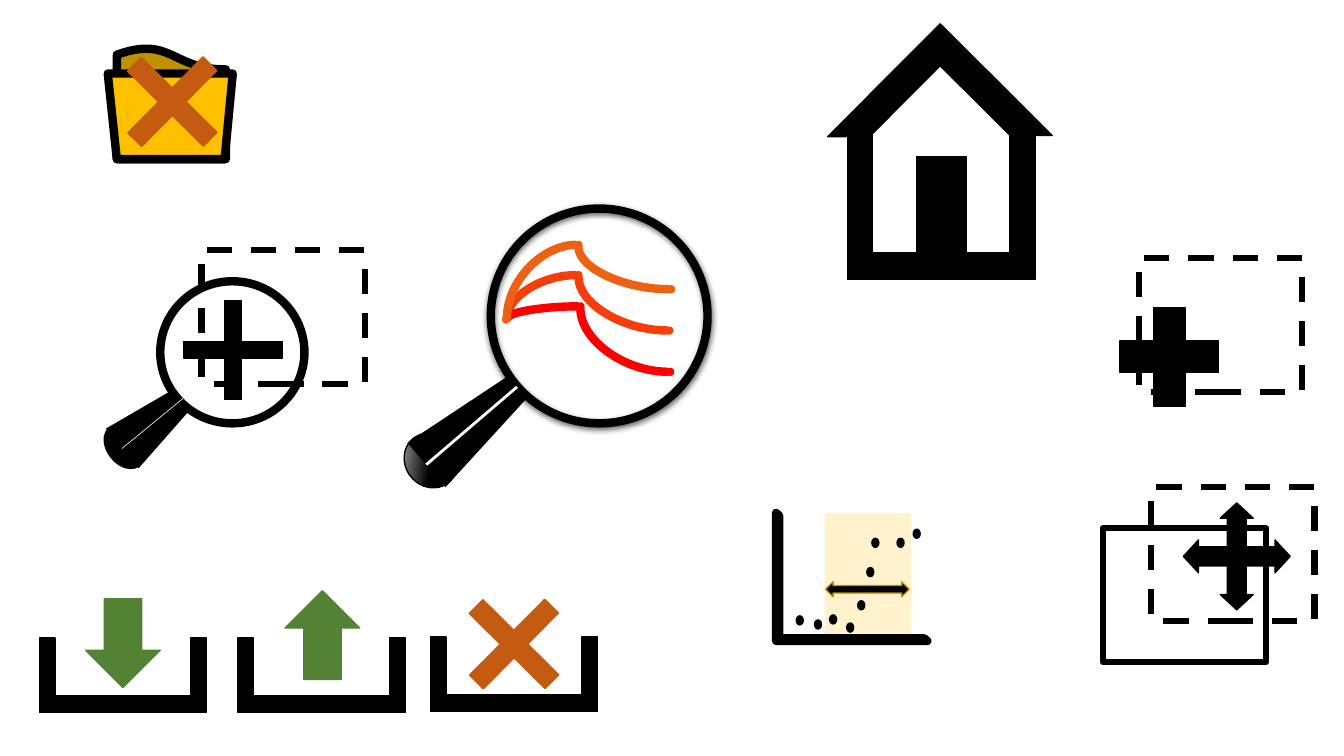
from lxml import etree
from pptx import Presentation
from pptx.dml.color import RGBColor
from pptx.enum.dml import MSO_LINE
from pptx.enum.shapes import MSO_CONNECTOR, MSO_SHAPE
from pptx.oxml.ns import qn
from pptx.util import Pt

DASH = MSO_LINE.DASH
STRAIGHT = MSO_CONNECTOR.STRAIGHT
CURVE = MSO_CONNECTOR.CURVE
ELLIPSE = MSO_SHAPE.OVAL
RECTANGLE = MSO_SHAPE.RECTANGLE
CORNER = MSO_SHAPE.CORNER
HALF_FRAME = MSO_SHAPE.HALF_FRAME
TRAPEZOID = MSO_SHAPE.TRAPEZOID
PLUS = MSO_SHAPE.CROSS
QUAD_ARROW = MSO_SHAPE.QUAD_ARROW
DOWN_ARROW = MSO_SHAPE.DOWN_ARROW
WIDE_ARROW = MSO_SHAPE.LEFT_RIGHT_ARROW
DOCUMENT = MSO_SHAPE.FLOWCHART_DOCUMENT

BLACK, GREEN, RUST, GOLD = "000000", "548235", "C55A11", "BF9000"
CONTOURS = [
    ("F63D0A", (122.4, 47.5), (187.2, 87.1)),
    ("FF0000", (123.8, 69.8), (187.9, 116.6)),
    ("EC6114", (122.4, 25.9), (188.6, 57.6)),
]
DATA_POINTS = [(38.2, 72.7), (50.4, 78.5), (58.3, 62.6), (64.8, 38.9), (68.4, 18),
               (86.4, 18), (27.4, 76.3), (14.4, 73.4), (97.9, 11.5)]


def color(value):
    """Return the colour for a hex string."""
    return RGBColor.from_string(value)


def paint(shape, fill=None, line=None, weight=1, dash=None):
    """Set the fill and outline of a shape and drop its shadow."""
    shape.shadow.inherit = False
    if fill:
        shape.fill.solid()
        shape.fill.fore_color.rgb = color(fill)
    else:
        shape.fill.background()
    if line:
        shape.line.color.rgb = color(line)
        shape.line.width = Pt(weight)
        if dash:
            shape.line.dash_style = dash
    else:
        shape.line.fill.background()


def draw(icon, kind, x, y, width, height, adjust=(), rotation=0, flip=None, **style):
    """Add a preset shape to an icon."""
    shape = icon.shapes.add_shape(kind, Pt(x), Pt(y), Pt(width), Pt(height))
    for index, value in enumerate(adjust):
        shape.adjustments[index] = value
    shape.rotation = rotation
    if flip:
        shape.element.spPr.get_or_add_xfrm().set(flip, "1")
    paint(shape, **style)
    return shape


def stroke(icon, start, end, line, weight, kind=STRAIGHT):
    """Add a straight line or a quarter curve that leaves its start horizontally."""
    connector = icon.shapes.add_connector(kind, *map(Pt, start + end))
    connector.line.color.rgb = color(line)
    connector.line.width = Pt(weight)
    properties = connector.element.spPr
    if kind == CURVE:
        properties.find(qn("a:prstGeom")).set("prst", "curvedConnector2")
    etree.SubElement(properties, qn("a:effectLst"))


def cast_shadow(shape):
    """Give a shape a soft shadow below it."""
    effects = shape.element.spPr.find(qn("a:effectLst"))
    shadow = etree.SubElement(effects, qn("a:outerShdw"), blurRad=str(Pt(4.5)),
                              dist=str(Pt(1.5)), dir="5400000", algn="t", rotWithShape="0")
    tint = etree.SubElement(shadow, qn("a:srgbClr"), val=BLACK)
    etree.SubElement(tint, qn("a:alpha"), val="63000")


def open_box(icon, x, y, span, width, height):
    """Draw a black box without a lid from two mirrored corners."""
    for left, flip in ((x, None), (x + span - width, "flipH")):
        draw(icon, CORNER, left, y, width, height, (0.223, 0.212), flip=flip,
             fill=BLACK, line=BLACK)


def delete_cross(icon, x, y):
    """Draw the diagonal cross that stands for deleting."""
    draw(icon, QUAD_ARROW, x, y, 76.3, 76.3, (0.399, 0.091, 0), 314.7, fill=RUST, line=RUST)


def selection(icon, x, y, dash=DASH):
    """Draw the outline of a selected area."""
    draw(icon, RECTANGLE, x, y, 116.6, 95.8, line=BLACK, weight=4.5, dash=dash)


def tray(icon, x, y):
    """Draw the tray under an import, export or delete sign."""
    open_box(icon, x, y, 119.6, 75, 53.3)


def import_icon(icon, x, y):
    """Draw a tray with an arrow pointing down into it."""
    tray(icon, x, y)
    draw(icon, DOWN_ARROW, x + 33.1, y - 28.1, 53.3, 63.4, fill=GREEN, line=GREEN)


def export_icon(icon, x, y):
    """Draw a tray with an arrow pointing up out of it."""
    tray(icon, x, y)
    draw(icon, DOWN_ARROW, x + 33.8, y - 33.8, 53.3, 63.4, flip="flipV",
         fill=GREEN, line=GREEN)


def delete_icon(icon, x, y):
    """Draw a tray with a cross."""
    tray(icon, x, y)
    delete_cross(icon, x + 21.6, y - 33.1)


def folder_icon(icon, x, y):
    """Draw a folder with a cross."""
    draw(icon, DOCUMENT, x + 6.5, y, 77.8, 79.9, flip="flipV", fill=GOLD, line=BLACK, weight=6)
    outline = [(6.5, 79.9), (0, 18.7), (89.3, 18.7), (83.5, 79.9)]
    corners = [(Pt(x + dx), Pt(y + dy)) for dx, dy in outline]
    builder = icon.shapes.build_freeform(*corners[0])
    builder.add_line_segments(corners[1:], close=True)
    paint(builder.convert_to_shape(), fill="FFC000", line=BLACK, weight=6)
    delete_cross(icon, x + 7.9, y + 0.7)


def contour_icon(icon, x, y):
    """Draw a magnifier over three contour curves."""
    root = (x + 72.7, y + 78.5)
    for tint, (crest_x, crest_y), (tail_x, tail_y) in CONTOURS:
        crest = (x + crest_x, y + crest_y)
        tail = (x + tail_x, y + tail_y)
        for dot_x, dot_y in (crest, tail):
            draw(icon, ELLIPSE, dot_x, dot_y - 1.4, 2.9, 2.9, fill="5B9BD5", line=tint, weight=3)
        stroke(icon, crest, root, tint, 6, CURVE)
        stroke(icon, tail, (crest[0] + 1.4, crest[1] + 1.4), tint, 6, CURVE)
    draw(icon, ELLIPSE, x + 70.6, y + 77.8, 2.9, 2.9, fill="5B9BD5", line=tint, weight=3)
    cast_shadow(draw(icon, ELLIPSE, x + 61.2, y, 154.8, 153.4, line=BLACK, weight=6))
    grip = draw(icon, ELLIPSE, x, y + 159.8, 36.7, 40.3, rotation=321.8, line=BLACK)
    grip.fill.gradient()
    grip.fill.gradient_angle = 315
    for stop, (position, tint) in zip(grip.fill.gradient_stops, ((0, "BFBFBF"), (0.5, BLACK))):
        stop.position = position
        stop.color.rgb = color(tint)
    draw(icon, TRAPEZOID, x + 26.6, y + 113, 41.8, 85, rotation=49.5, fill=BLACK)
    stroke(icon, (x + 15.1, y + 182.9), (x + 79.9, y + 127.4), "FFFFFF", 2)


def zoom_icon(icon, x, y):
    """Draw a magnifier with a plus over a selection."""
    draw(icon, ELLIPSE, x, y + 123.1, 24.5, 35.3, rotation=321.8, fill=BLACK)
    draw(icon, ELLIPSE, x + 38.2, y + 22.3, 103, 101.5, line=BLACK, weight=6)
    draw(icon, TRAPEZOID, x + 14.4, y + 95.8, 36.7, 56.2, rotation=50.6, fill=BLACK)
    stroke(icon, (x + 10.8, y + 141.8), (x + 54.7, y + 105.8), "E7E6E6", 0.5)
    draw(icon, PLUS, x + 54.7, y + 36, 70.6, 70.6, (0.417,), fill=BLACK, line=BLACK)
    selection(icon, x + 67.7, y)


def move_icon(icon, x, y):
    """Draw a selection moved away from its area by a four-way arrow."""
    selection(icon, x + 34.6, y)
    selection(icon, x, y + 29.5, dash=None)
    draw(icon, QUAD_ARROW, x + 57.6, y + 11.5, 76.3, 76.3, (0.177, 0.154, 0.142),
         fill=BLACK, line=BLACK)


def home_icon(icon, x, y):
    """Draw a house with a roof and a door."""
    open_box(icon, x, y + 56.2, 133.9, 84.2, 103)
    draw(icon, HALF_FRAME, x + 9.4, y, 113, 113.8, (0.188, 0.187), 44.9, fill=BLACK, line=BLACK)
    draw(icon, RECTANGLE, x + 49, y + 71.3, 36, 75.6, fill=BLACK, line=BLACK)


def add_icon(icon, x, y):
    """Draw a plus on the edge of a selection."""
    draw(icon, PLUS, x, y + 35.3, 70.6, 70.6, (0.34,), fill=BLACK, line=BLACK)
    selection(icon, x + 13.7, y)


def range_icon(icon, x, y):
    """Draw a scatter plot with a highlighted range."""
    draw(icon, RECTANGLE, x + 34.6, y, 61.9, 90.7, fill="FFF2CC")
    draw(icon, HALF_FRAME, x, y, 108, 91.4, (0.02, 0.024), flip="flipV",
         fill="FFC000", line=BLACK, weight=6)
    for dx, dy in DATA_POINTS:
        draw(icon, ELLIPSE, x + dx, y + dy, 5, 6.5, fill=BLACK, line=BLACK)
    draw(icon, WIDE_ARROW, x + 35.3, y + 49, 59.8, 10.8, fill=BLACK, line=GOLD)


def main():
    """Build the slide of icons and save it."""
    deck = Presentation()
    deck.slide_width, deck.slide_height = Pt(960), Pt(540)
    slide = deck.slides.add_slide(deck.slide_layouts[6])
    icons = [
        (contour_icon, 289.4, 149), (import_icon, 28.1, 455.8), (delete_icon, 307.4, 455),
        (export_icon, 169.9, 455.8), (folder_icon, 77, 33.8), (zoom_icon, 76.3, 178.6),
        (move_icon, 787.7, 347.8), (home_icon, 605.5, 40.3), (add_icon, 799.9, 184.3),
        (range_icon, 554.4, 366.5),
    ]
    for draw_icon, x, y in icons:
        draw_icon(slide.shapes.add_group_shape(), x, y)
    deck.save("out.pptx")


if __name__ == "__main__":
    main()
